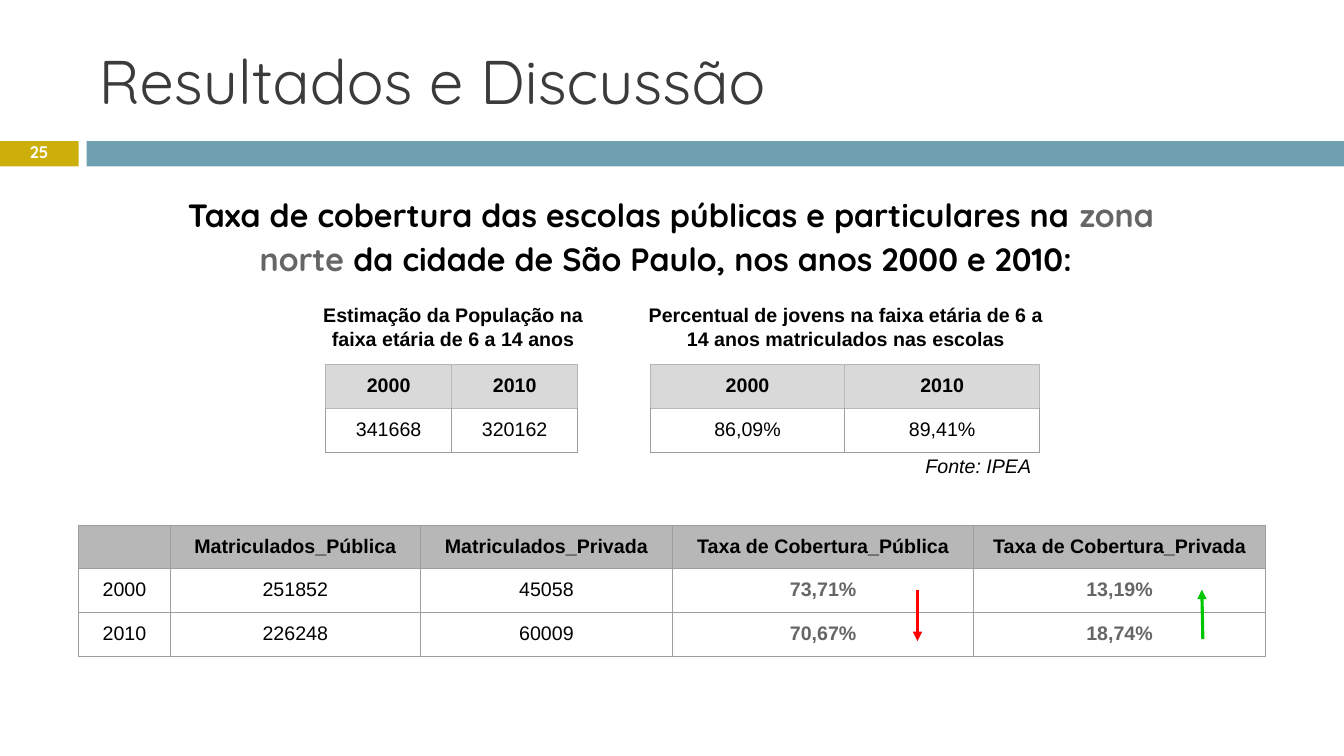
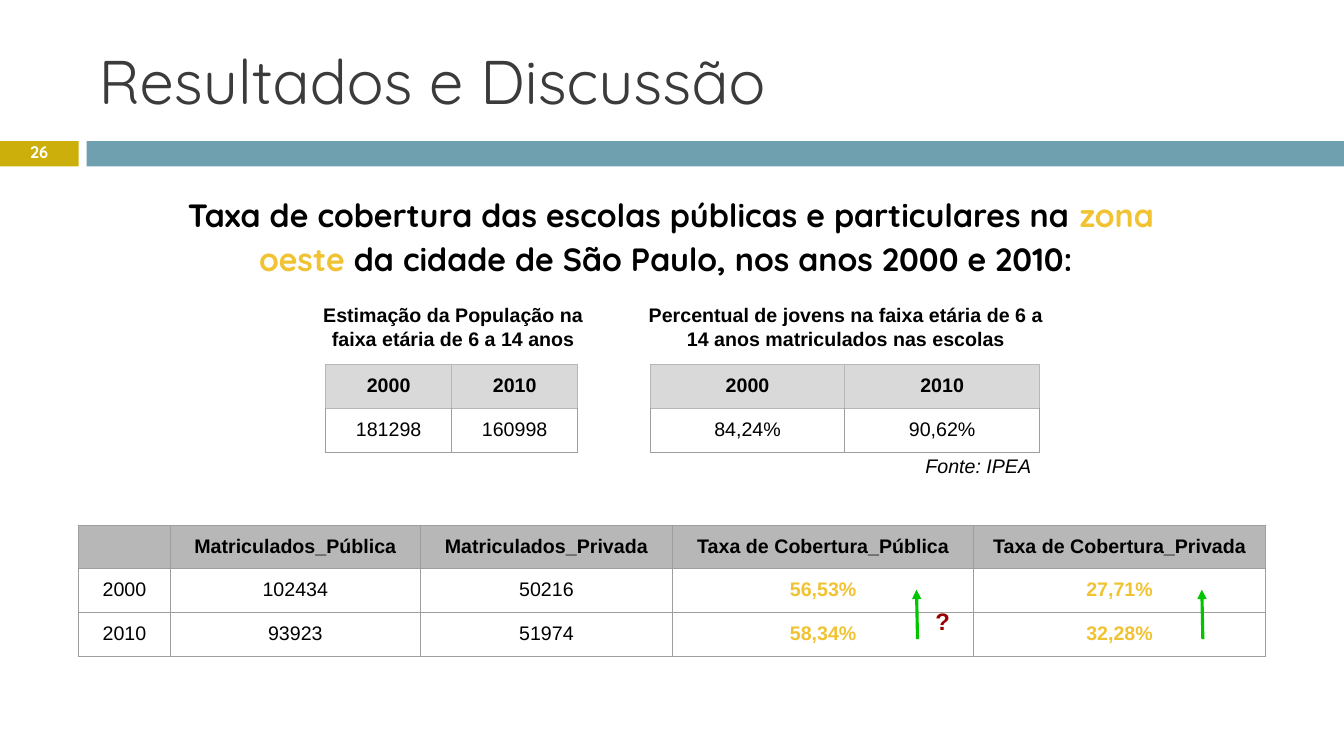
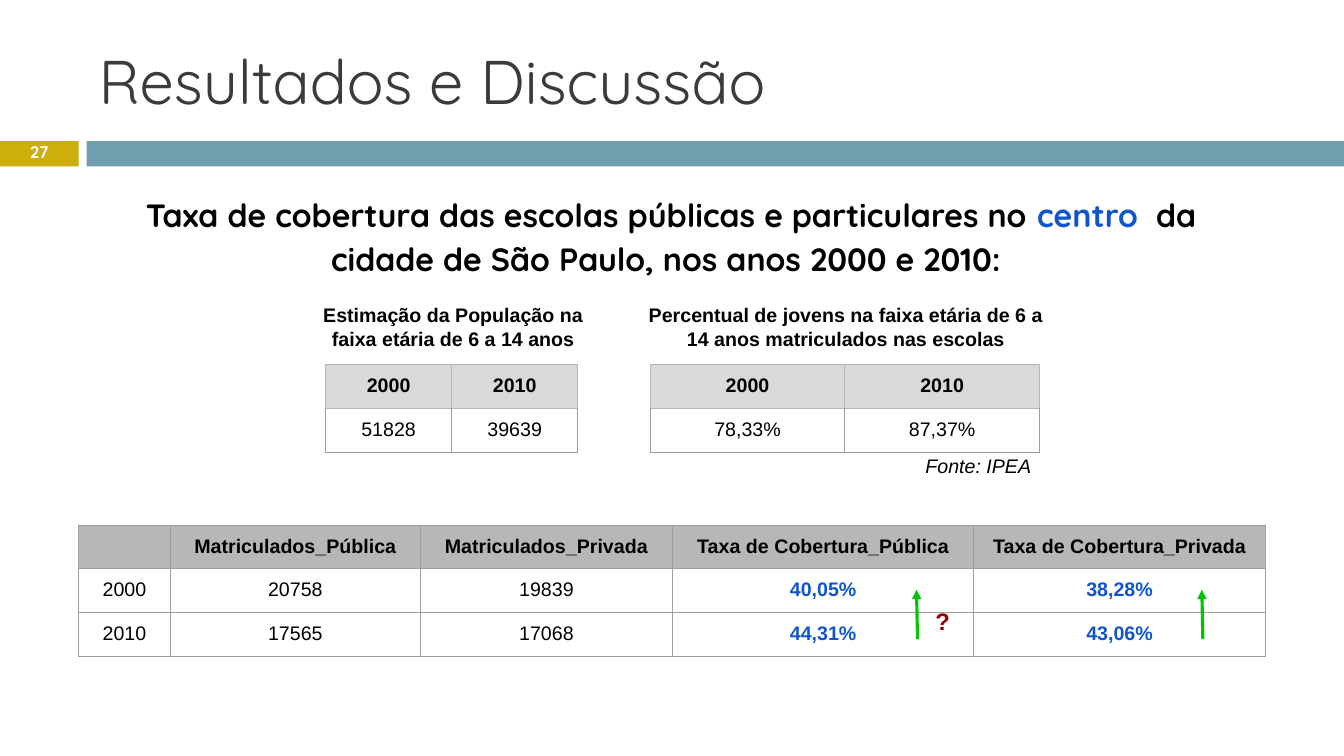
"""Builds three slides on school coverage rates by region of São Paulo."""
from lxml import etree
from pptx import Presentation
from pptx import util as u
from pptx.dml.color import RGBColor
from pptx.enum import shapes, text
from pptx.oxml import ns

GOLD = RGBColor(0xCC, 0xAF, 0x0A)
TEAL = RGBColor(0x6E, 0xA0, 0xB0)
CHARCOAL = RGBColor(0x3B, 0x3B, 0x3B)
BLACK = RGBColor(0, 0, 0)
WHITE = RGBColor(0xFF, 0xFF, 0xFF)
LIGHT_HEADER = RGBColor(0xD9, 0xD9, 0xD9)
DARK_HEADER = RGBColor(0xB7, 0xB7, 0xB7)
EDGE = RGBColor(0x9E, 0x9E, 0x9E)
GREY = RGBColor(0x66, 0x66, 0x66)
YELLOW = RGBColor(0xF1, 0xC2, 0x32)
BLUE = RGBColor(0x11, 0x55, 0xCC)
RED = RGBColor(0xFF, 0, 0)
GREEN = RGBColor(0, 0xC6, 0)
DARK_RED = RGBColor(0x98, 0, 0)

CENTER = text.PP_ALIGN.CENTER
MIDDLE = text.MSO_ANCHOR.MIDDLE
HEADING = "Quicksand"
BODY = "Arial"
YEARS = ["2000", "2010"]
COVERAGE_HEADER = ["", "Matriculados_Pública", "Matriculados_Privada",
                   "Taxa de Cobertura_Pública", "Taxa de Cobertura_Privada"]

REGIONS = [
    {"number": "25", "lead": "na ", "region": "zona norte",
     "color": GREY, "population": ["341668", "320162"],
     "enrolled": ["86,09%", "89,41%"],
     "coverage": [["251852", "45058", "73,71%", "13,19%"],
                  ["226248", "60009", "70,67%", "18,74%"]],
     "public_falls": True},
    {"number": "26", "lead": "na ", "region": "zona oeste",
     "color": YELLOW, "population": ["181298", "160998"],
     "enrolled": ["84,24%", "90,62%"],
     "coverage": [["102434", "50216", "56,53%", "27,71%"],
                  ["93923", "51974", "58,34%", "32,28%"]],
     "public_falls": False},
    {"number": "27", "lead": "no ", "region": "centro ",
     "color": BLUE, "population": ["51828", "39639"],
     "enrolled": ["78,33%", "87,37%"],
     "coverage": [["20758", "19839", "40,05%", "38,28%"],
                  ["17565", "17068", "44,31%", "43,06%"]],
     "public_falls": False},
]


def apply(target, values):
    """Set every attribute in values on target."""
    for key, value in values.items():
        setattr(target, key, value)


class Deck:
    """Holds the presentation, its style and the current slide."""

    def __init__(self):
        """Start an empty widescreen presentation."""
        self.show = Presentation()
        apply(self.show, {"slide_width": u.Inches(13.33),
                          "slide_height": u.Inches(7.5)})
        self.slide = None

    def start(self, number):
        """Add a slide with the shared title, bands and number."""
        self.slide = self.show.slides.add_slide(self.show.slide_layouts[6])
        self.band(0, 0.78, GOLD)
        self.band(0.86, 12.47, TEAL)
        self.label((0.88, 0.25, 8.92, 1.08), [("Resultados e Discussão", CHARCOAL)],
                   {"size": u.Pt(44), "name": HEADING}, anchor=MIDDLE, inset=0.05)
        self.label((0, 1.39, 0.78, 0.27), [(number, WHITE)],
                   {"size": u.Pt(12), "name": HEADING, "bold": True},
                   {"alignment": CENTER, "line_spacing": 0.8}, MIDDLE, 0.05)

    def band(self, left, width, color):
        """Draw one piece of the band under the title."""
        bar = self.slide.shapes.add_shape(
            shapes.MSO_SHAPE.RECTANGLE, u.Inches(left), u.Inches(1.4),
            u.Inches(width), u.Inches(0.25))
        bar.shadow.inherit = False
        bar.fill.solid()
        bar.fill.fore_color.rgb = color
        bar.line.fill.background()

    def set_text(self, paragraph, pieces, font, layout):
        """Fill a paragraph with coloured pieces of text."""
        apply(paragraph, layout)
        for words, color in pieces:
            run = paragraph.add_run()
            run.text = words
            apply(run.font, font)
            run.font.color.rgb = color

    def label(self, place, pieces, font, layout=None,
              anchor=text.MSO_ANCHOR.TOP, inset=0.1):
        """Add a text box."""
        frame = self.slide.shapes.add_textbox(*map(u.Inches, place)).text_frame
        apply(frame, {"word_wrap": True, "vertical_anchor": anchor,
                      "margin_left": u.Inches(0.1), "margin_right": u.Inches(0.1),
                      "margin_top": u.Inches(inset), "margin_bottom": u.Inches(inset)})
        self.set_text(frame.paragraphs[0], pieces, font, layout or {})

    def caption(self, place, words):
        """Add a bold centred caption above a table."""
        self.label(place, [(words, BLACK)],
                   {"size": u.Pt(14), "name": BODY, "bold": True},
                   {"alignment": CENTER})

    def border(self, cell, side, color):
        """Draw one edge of a table cell."""
        properties = cell._tc.get_or_add_tcPr()
        edge = etree.SubElement(properties, ns.qn("a:ln" + side), w=str(u.Pt(0.75)))
        fill = etree.SubElement(edge, ns.qn("a:solidFill"))
        etree.SubElement(fill, ns.qn("a:srgbClr"), val=str(color))

    def grid(self, left, top, widths, heights, rows, header_fill, header_edge,
             rate_color=BLACK, first_rate=None):
        """Add a table with a header row and optional coloured rate columns."""
        table = self.slide.shapes.add_table(
            len(rows), len(widths), u.Inches(left), u.Inches(top),
            u.Inches(sum(widths)), u.Inches(sum(heights))).table
        apply(table, {"first_row": False, "horz_banding": False})
        for column, width in zip(table.columns, widths):
            column.width = u.Inches(width)
        for r, (height, values) in enumerate(zip(heights, rows)):
            table.rows[r].height = u.Inches(height)
            for c, value in enumerate(values):
                cell = table.cell(r, c)
                for side in "LRTB":
                    near_header = r == 0 or (r == 1 and side == "T")
                    self.border(cell, side, header_edge if near_header else EDGE)
                if r == 0:
                    cell.fill.solid()
                    cell.fill.fore_color.rgb = header_fill
                else:
                    cell.fill.background()
                if not value:
                    continue
                rate = r > 0 and first_rate is not None and c >= first_rate
                apply(cell, {"margin_" + side: u.Inches(0.1)
                             for side in ("left", "top", "right", "bottom")})
                self.set_text(cell.text_frame.paragraphs[0],
                              [(value, rate_color if rate else BLACK)],
                              {"size": u.Pt(14), "name": BODY, "bold": r == 0 or rate},
                              {"alignment": CENTER})

    def arrow(self, start, end, color):
        """Draw a trend arrow from start to end."""
        trend = self.slide.shapes.add_connector(
            shapes.MSO_CONNECTOR.STRAIGHT, *map(u.Inches, start + end))
        trend.line.color.rgb = color
        trend.line.width = u.Pt(2.25)
        etree.SubElement(trend.line._get_or_add_ln(), ns.qn("a:tailEnd"),
                         type="triangle")
        etree.SubElement(trend._element.spPr, ns.qn("a:effectLst"))

    def rise(self, x):
        """Draw a green rising arrow based at x."""
        self.arrow((x, 6.34), (x - 0.01, 5.85), GREEN)

    def region(self, data):
        """Build the slide for one region."""
        self.start(data["number"])
        self.label(
            (1.33, 1.89, 10.65, 0.86),
            [("Taxa de cobertura das escolas públicas e particulares " + data["lead"], BLACK),
             (data["region"], data["color"]),
             (" da cidade de São Paulo, nos anos 2000 e 2010: ", BLACK)],
            {"size": u.Pt(23), "name": HEADING, "bold": True},
            {"alignment": CENTER, "line_spacing": 1.15, "space_after": u.Pt(10)},
            MIDDLE)
        self.caption((2.94, 2.91, 3.11, 0.55),
                     "Estimação da População na faixa etária de 6 a 14 anos")
        self.caption((6.3, 2.91, 4.18, 0.73),
                     "Percentual de jovens na faixa etária de 6 a 14 anos "
                     "matriculados nas escolas")
        for left, width, key in ((3.23, 1.25, "population"), (6.45, 1.93, "enrolled")):
            self.grid(left, 3.62, [width] * 2, [0.42, 0.43], [YEARS, data[key]],
                      LIGHT_HEADER, DARK_HEADER)
        self.label((9.08, 4.4, 1.32, 0.42), [("Fonte: IPEA", BLACK)],
                   {"size": u.Pt(14), "name": BODY, "italic": True})
        coverage = [[year] + values for year, values in zip(YEARS, data["coverage"])]
        self.grid(0.78, 5.21, [0.91, 2.48, 2.5, 2.99, 2.89], [0.42] * 3,
                  [COVERAGE_HEADER] + coverage, DARK_HEADER, EDGE, data["color"], 3)
        self.rise(11.93)
        if data["public_falls"]:
            self.arrow((9.1, 5.85), (9.1, 6.36), RED)
        else:
            self.rise(9.1)
            self.label((9.18, 5.92, 0.51, 0.42), [("?", DARK_RED)],
                       {"size": u.Pt(17), "name": BODY, "bold": True})


def main():
    """Build and save the presentation."""
    deck = Deck()
    for data in REGIONS:
        deck.region(data)
    deck.show.save("out.pptx")


if __name__ == "__main__":
    main()
